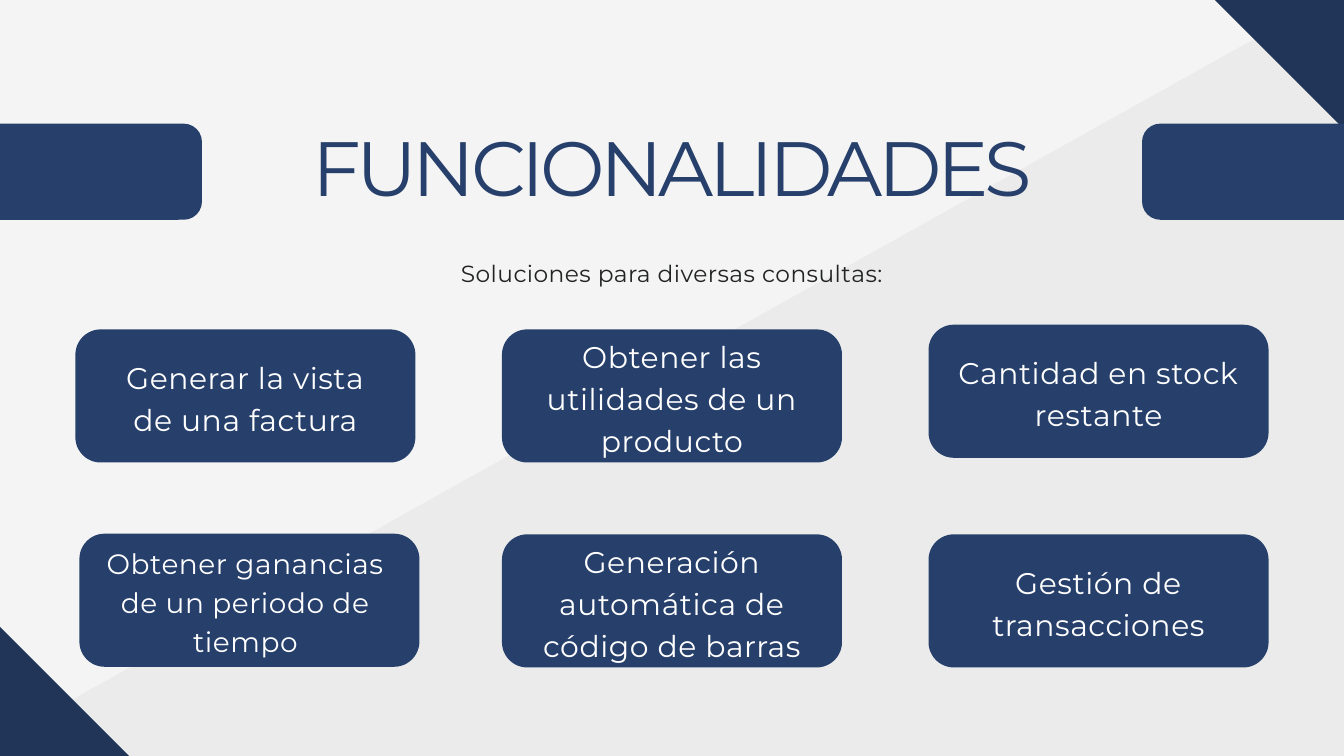
from dataclasses import dataclass

from lxml import etree
from pptx import Presentation
from pptx import util as u
from pptx.dml.color import RGBColor
from pptx.enum import shapes, text
from pptx.oxml import ns


@dataclass(frozen=True)
class Theme:
    """Colours, font and text formats of the deck."""
    paper: str = "F4F4F4"
    wash: str = "545454"
    corner: str = "213559"
    panel: str = "263F6B"
    ink: str = "212423"
    white: str = "FFFFFF"
    font: str = "Montserrat"
    title: tuple = (82.4, 80.7, -480)
    subtitle: tuple = (25, 35, 50)
    card: tuple = (32, 44.8, 60)
    small_card: tuple = (30, 42, 60)


THEME = Theme()
WIDTH, HEIGHT = 1440, 810
ROUNDING = 0.19
CARDS = [
    [("Generar la vista de una factura", 2, THEME.card, (0, 0)),
     ("Obtener las utilidades de un producto", 3, THEME.card, (0, 0)),
     ("Cantidad en stock restante", 2, THEME.card, (0, -5))],
    [("Obtener ganancias de un periodo de tiempo", 3, THEME.small_card, (4.3, -0.7)),
     ("Generación automática de código de barras", 3, THEME.card, (0, 0)),
     ("Gestión de transacciones", 2, THEME.card, (0, 0))],
]


def points(box):
    """Turn a box of numbers into point lengths."""
    return [u.Pt(value) for value in box]


def add_block(page, box, colour, rounded=False, rotation=0):
    """Add a plain filled rectangle, square or rounded."""
    kinds = shapes.MSO_SHAPE
    kind = kinds.ROUNDED_RECTANGLE if rounded else kinds.RECTANGLE
    block = page.shapes.add_shape(kind, *points(box))
    if rounded:
        block.adjustments[0] = ROUNDING
    block.rotation = rotation
    block.shadow.inherit = False
    block.fill.solid()
    block.fill.fore_color.rgb = RGBColor.from_string(colour)
    block.line.fill.background()
    return block


def add_text(page, box, words, style, colour):
    """Add a centred text box with exact line spacing and tracking."""
    size, leading, tracking = style
    frame = page.shapes.add_textbox(*points(box)).text_frame
    settings = dict.fromkeys(
        ("margin_left", "margin_top", "margin_right", "margin_bottom"), 0)
    settings.update(word_wrap=True, auto_size=text.MSO_AUTO_SIZE.SHAPE_TO_FIT_TEXT)
    for name, value in settings.items():
        setattr(frame, name, value)
    para = frame.paragraphs[0]
    para.alignment = text.PP_ALIGN.CENTER
    para.line_spacing = u.Pt(leading)
    span = para.add_run()
    span.text = words
    for name, value in {"size": u.Pt(size), "name": THEME.font}.items():
        setattr(span.font, name, value)
    span.font.color.rgb = RGBColor.from_string(colour)
    span.font._element.set("spc", str(tracking))


def add_backdrop(page, width, height):
    """Place the paper, the slanted wash and the two dark corners."""
    page.background.fill.solid()
    page.background.fill.fore_color.rgb = RGBColor.from_string(THEME.paper)
    wash = add_block(page, (-90.7, 331.9, 2030.4, 766.8), THEME.wash, rotation=330.8)
    colour = wash.fill._xPr.find(".//" + ns.qn("a:srgbClr"))
    etree.SubElement(colour, ns.qn("a:alpha"), val="5000")
    long, short = 416.9, 195.8
    for x, y in ((0, height), (width, 0)):
        add_block(page, (x - long / 2, y - short / 2, long, short),
                  THEME.corner, rotation=45)


def add_header(page, left, top, width, height):
    """Place the two side bars, the title and the subtitle."""
    bar, shown = 414.4, 216.4
    for x in (left + shown - bar, left + width - shown):
        add_block(page, (x, top, bar, height), THEME.panel, rounded=True)
    add_text(page, (left + 288, top + 13.7, width - 576, 85),
             "FUNCIONALIDADES", THEME.title, THEME.panel)
    add_text(page, (left + 267.5, top + 140.4, width - 535, 33.1),
             "Soluciones para diversas consultas:", THEME.subtitle, THEME.ink)


def add_card(page, box, words, lines, style, nudge):
    """Place a rounded card and its text, centred a little above the middle."""
    left, top, width, height = box
    dx, dy = nudge
    add_block(page, (left + dx, top + dy, width, height), THEME.panel, rounded=True)
    text_height = lines * style[1] - 3.3
    text_top = top + dy + (height - text_height) / 2 - 2.2
    add_text(page, (left + 31.5, text_top, width - 63, text_height),
             words, style, THEME.white)


def add_cards(page, left, top, width, height):
    """Spread the cards evenly over the given box."""
    card_width, card_height = 364.3, 142.6
    step_x = (width - card_width) / (len(CARDS[0]) - 1)
    step_y = (height - card_height) / (len(CARDS) - 1)
    for row, cards in enumerate(CARDS):
        for column, card in enumerate(cards):
            box = (left + column * step_x, top + row * step_y, card_width, card_height)
            add_card(page, box, *card)


def main():
    """Build and save the slide."""
    deck = Presentation()
    deck.slide_width, deck.slide_height = points((WIDTH, HEIGHT))
    page = deck.slides.add_slide(deck.slide_layouts[6])
    add_backdrop(page, WIDTH, HEIGHT)
    add_header(page, 0, 132.5, WIDTH, 103)
    add_cards(page, 80.8, 352.9, WIDTH - 161.6, 362.2)
    deck.save("out.pptx")


if __name__ == "__main__":
    main()
